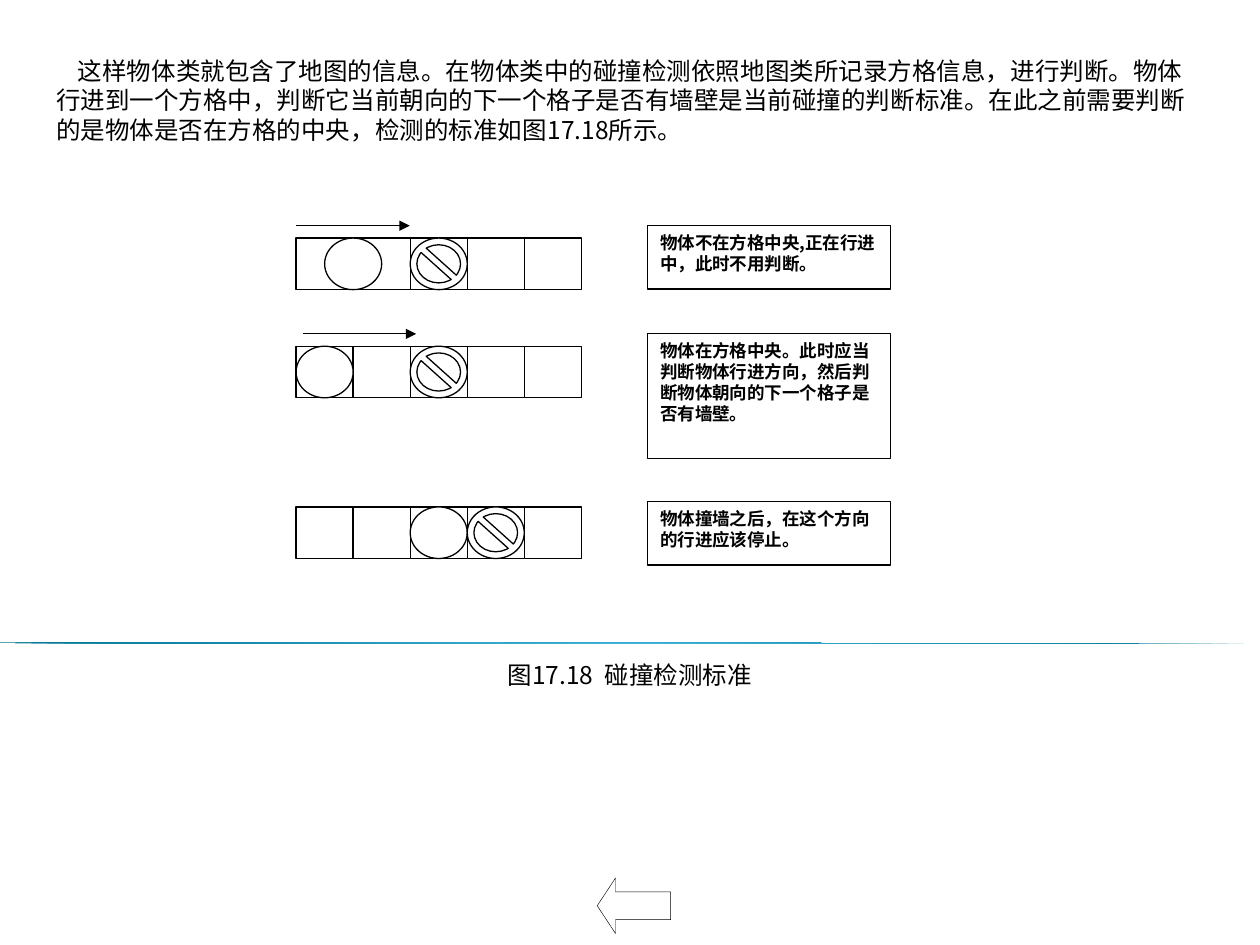
"""Build the slide on collision detection rules for a grid map."""
from copy import deepcopy

from lxml import etree
from pptx import Presentation
from pptx import util as u
from pptx.dml.color import RGBColor
from pptx.enum import shapes, text
from pptx.oxml.ns import qn

FONT = "Noto Sans CJK SC"
BLACK, WHITE = "000000", "FFFFFF"
INTRO = (
    "这样物体类就包含了地图的信息。在物体类中的碰撞检测依照地图类所记录方格信息，进行判断。"
    "物体行进到一个方格中，判断它当前朝向的下一个格子是否有墙壁是当前碰撞的判断标准。"
    "在此之前需要判断的是物体是否在方格的中央，检测的标准如图17.18所示。"
)
CAPTION = "图17.18  碰撞检测标准"
CASES = [
    dict(top=4.8, ball=0.5, wall=2, arrow=5.97, note_top=4.55, note_height=1.28,
         note="物体不在方格中央,正在行进中，此时不用判断。"),
    dict(top=6.98, ball=0, wall=2, arrow=6.1, note_top=6.73, note_height=2.51,
         note="物体在方格中央。此时应当判断物体行进方向，然后判断物体朝向的下一个格子是否有墙壁。"),
    dict(top=10.22, ball=2, wall=3, arrow=None, note_top=10.11, note_height=1.28,
         note="物体撞墙之后，在这个方向的行进应该停止。"),
]
RULE_STOPS = [(0, "007593"), (0.5, "48BAE0"), (1, "007593")]
GRID_LEFT, CELL_WIDTH, CELL_HEIGHT, CELL_COUNT = 5.97, 1.15, 1.04, 5
NOTE_LEFT, NOTE_WIDTH = 13.06, 4.9
ARROW_LENGTH = 2.29
KIND = shapes.MSO_SHAPE


def color(value):
    return RGBColor.from_string(value)


def add_box(page, kind, left, top, width, height, fill=WHITE, line=0.75):
    box = page.shapes.add_shape(kind, *map(u.Cm, (left, top, width, height)))
    box.shadow.inherit = False
    if fill:
        box.fill.solid()
        box.fill.fore_color.rgb = color(fill)
    else:
        box.fill.background()
    if line:
        box.line.color.rgb = color(BLACK)
        box.line.width = u.Pt(line)
    else:
        box.line.fill.background()
    return box


def write(box, words, size=14, bold=False, align=text.PP_ALIGN.LEFT, inset=0.13, indent=0):
    frame = box.text_frame
    frame.word_wrap = True
    frame.vertical_anchor = text.MSO_ANCHOR.TOP
    frame.margin_left = frame.margin_right = u.Cm(inset)
    frame.margin_top = frame.margin_bottom = u.Cm(0.13)
    para = frame.paragraphs[0]
    para.alignment = align
    para.line_spacing = u.Pt(size * 1.2)
    if indent:
        para._p.get_or_add_pPr().set("indent", str(u.Cm(indent)))
    span = para.add_run()
    span.text = words
    span.font.name = FONT
    span.font.size = u.Pt(size)
    span.font.bold = bold
    span.font.color.rgb = color(BLACK)
    etree.SubElement(span.font._element, qn("a:ea"), typeface=FONT)


def add_text(page, words, left, top, width, height, **style):
    box = page.shapes.add_textbox(*map(u.Cm, (left, top, width, height)))
    write(box, words, **style)


def add_arrow(page, left, top):
    ends = map(u.Cm, (left, top, left + ARROW_LENGTH, top))
    arrow = page.shapes.add_connector(shapes.MSO_CONNECTOR.STRAIGHT, *ends)
    arrow.line.color.rgb = color(BLACK)
    arrow.line.width = u.Pt(0.75)
    etree.SubElement(arrow.line._get_or_add_ln(), qn("a:tailEnd"), type="triangle")
    etree.SubElement(arrow._element.spPr, qn("a:effectLst"))


def add_rule(page):
    rule = add_box(page, KIND.RIGHT_TRIANGLE, 0, 12.95, 25.4, 0.02, line=None)
    rule.fill.gradient()
    rule.fill.gradient_angle = 310
    stop_list = rule._element.spPr.find(".//" + qn("a:gsLst"))
    stop_list.append(deepcopy(stop_list[0]))
    for stop, (position, value) in zip(rule.fill.gradient_stops, RULE_STOPS):
        stop.position = position
        stop.color.rgb = color(value)


def add_case(page, case):
    def place(kind, column):
        left = GRID_LEFT + column * CELL_WIDTH
        return add_box(page, kind, left, case["top"], CELL_WIDTH, CELL_HEIGHT)

    for column in range(CELL_COUNT):
        place(KIND.RECTANGLE, column)
    place(KIND.OVAL, case["ball"])
    place(KIND.NO_SYMBOL, case["wall"]).adjustments[0] = 0.13
    note = add_box(page, KIND.RECTANGLE, NOTE_LEFT, case["note_top"],
                   NOTE_WIDTH, case["note_height"])
    write(note, case["note"], size=10, bold=True, inset=0.25)
    if case["arrow"]:
        add_arrow(page, case["arrow"], case["note_top"])


def main():
    deck = Presentation()
    deck.slide_width, deck.slide_height = u.Cm(25.4), u.Cm(19.05)
    page = deck.slides.add_slide(deck.slide_layouts[6])
    add_rule(page)
    add_text(page, INTRO, 1, 1, 23.4, 2.1, indent=0.44)
    add_text(page, CAPTION, 1, 13.18, 23.4, 0.9, align=text.PP_ALIGN.CENTER)
    for case in CASES:
        add_case(page, case)
    back = add_box(page, KIND.LEFT_ARROW, 12.04, 17.7, 1.48, 1.12, fill=None, line=0.25)
    back.adjustments[1] = 0.33
    deck.save("out.pptx")


if __name__ == "__main__":
    main()
